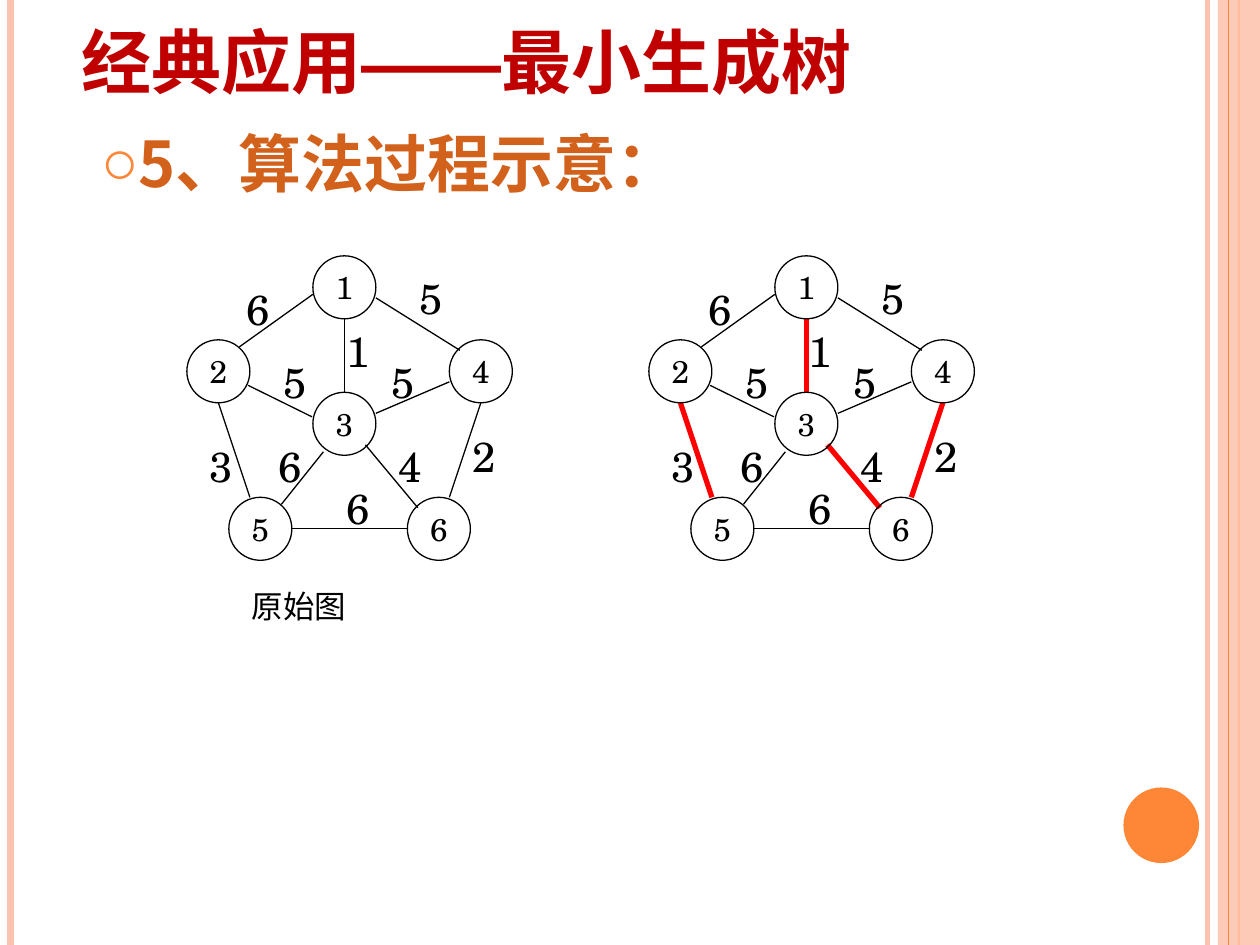
from lxml import etree
from pptx import Presentation
from pptx.dml.color import RGBColor
from pptx.enum.shapes import MSO_CONNECTOR, MSO_SHAPE
from pptx.enum.text import MSO_ANCHOR, MSO_AUTO_SIZE, PP_ALIGN
from pptx.oxml.ns import qn
from pptx.util import Pt

STRAIGHT = MSO_CONNECTOR.STRAIGHT
OVAL, RECTANGLE = MSO_SHAPE.OVAL, MSO_SHAPE.RECTANGLE
TOP, MIDDLE, BOTTOM = MSO_ANCHOR.TOP, MSO_ANCHOR.MIDDLE, MSO_ANCHOR.BOTTOM
LEFT, CENTER = PP_ALIGN.LEFT, PP_ALIGN.CENTER
NO_FIT = MSO_AUTO_SIZE.NONE

COLORS = {"black": "000000", "tree": "FF0000", "title": "C00000",
          "heading": "D2611C", "orange": "FE8637", "peach": "FEC3AE"}
SERIF, SANS, CHINESE = "TeX Gyre Schola", "Arial", "Noto Sans CJK SC"

TITLE = [("经典应用", SERIF, CHINESE), ("——", SANS, SANS), ("最小生成树", SERIF, CHINESE)]
HEADING = "5、算法过程示意："
CAPTION = "原始图"

NODE_SIZE = 36
NODES = {"1": (72, 0), "2": (0, 48), "3": (72, 78),
         "4": (150, 48), "5": (24, 138), "6": (126, 138)}
# name: start, end, weight, weight position
EDGES = {
    "1-2": ((30, 52), (72, 22), "6", (27, 12)),
    "3-5": ((54, 142), (78, 112), "6", (45, 102)),
    "3-4": ((108, 90), (150, 72), "5", (110, 54)),
    "2-3": ((35, 74), (71.5, 92), "5", (48, 54)),
    "1-4": ((108, 24), (156, 54), "5", (126, 6)),
    "4-6": ((150, 138), (168, 84), "2", (156, 96)),
    "2-5": ((36, 138), (18, 84), "3", (6, 102)),
    "5-6": ((60, 156), (126, 156), "6", (84, 126)),
    "1-3": ((90, 78), (90, 36), "1", (84, 36)),
    "3-6": ((102, 108), (132, 144), "4", (114, 102)),
}
GRAPHS = [((106.8, 146.2), set()),
          ((370.8, 146.2), {"1-3", "2-5", "3-6", "4-6"})]

SLIDE_WIDTH, SLIDE_HEIGHT = 720, 540
STRIPES = [(690, "peach", 3), (6, "peach", 4.5), (708, "orange", 1.5)]
BAND = (696, 0, 24, SLIDE_HEIGHT)
BAND_LINE = (702, "orange", 0.75)
DISC = (642, 450, 43.2, 43.2)


def rgb(name):
    return RGBColor.from_string(COLORS[name])


def place(shape, left, top, width, height):
    shape.left, shape.top = Pt(left), Pt(top)
    shape.width, shape.height = Pt(width), Pt(height)


def set_typeface(font, latin, east_asian):
    font.name = latin
    etree.SubElement(font._element, qn("a:ea"), typeface=east_asian)


def style_text(paragraph, size, color, bold=False):
    paragraph.font.size = Pt(size)
    paragraph.font.bold = bold
    paragraph.font.color.rgb = rgb(color)


def add_line(shapes, start, end, color, width):
    line = shapes.add_connector(STRAIGHT, *map(Pt, (*start, *end)))
    line.line.color.rgb = rgb(color)
    line.line.width = Pt(width)
    etree.SubElement(line._element.spPr, qn("a:effectLst"))


def add_stripe(shapes, x, color, width):
    add_line(shapes, (x, 0), (x, SLIDE_HEIGHT), color, width)


def add_filled(shapes, kind, box, color):
    shape = shapes.add_shape(kind, *map(Pt, box))
    shape.shadow.inherit = False
    shape.fill.solid()
    shape.fill.fore_color.rgb = rgb(color)
    shape.line.fill.background()
    return shape


def add_label(shapes, text, box, size):
    frame = shapes.add_textbox(*map(Pt, box)).text_frame
    frame.word_wrap = True
    paragraph = frame.paragraphs[0]
    paragraph.text = text
    style_text(paragraph, size, "black")
    set_typeface(paragraph.font, SERIF, CHINESE)


def add_node(shapes, name, left, top):
    node = shapes.add_shape(OVAL, *map(Pt, (left, top, NODE_SIZE, NODE_SIZE)))
    node.shadow.inherit = False
    node.fill.background()
    node.line.color.rgb = rgb("black")
    node.line.width = Pt(0.75)
    frame = node.text_frame
    frame.word_wrap = False
    frame.vertical_anchor = MIDDLE
    paragraph = frame.paragraphs[0]
    paragraph.text = name
    paragraph.alignment = CENTER
    style_text(paragraph, 18, "black")
    set_typeface(paragraph.font, SERIF, CHINESE)


def add_graph(shapes, origin, tree):
    def shift(point):
        return origin[0] + point[0], origin[1] + point[1]

    for name, (start, end, _, _) in EDGES.items():
        color, width = ("tree", 3) if name in tree else ("black", 0.75)
        add_line(shapes, shift(start), shift(end), color, width)
    for name, position in NODES.items():
        add_node(shapes, name, *shift(position))
    for _, _, weight, position in EDGES.values():
        add_label(shapes, weight, (*shift(position), 24, 36), 24)


def fill_title(title):
    place(title, 39.6, -28, 588, 90)
    frame = title.text_frame
    frame.auto_size = NO_FIT
    frame.vertical_anchor = BOTTOM
    paragraph = frame.paragraphs[0]
    paragraph.alignment = LEFT
    style_text(paragraph, 40, "title", True)
    for text, latin, east_asian in TITLE:
        run = paragraph.add_run()
        run.text = text
        set_typeface(run.font, latin, east_asian)


def fill_heading(body):
    place(body, 50.4, 67.7, 468, 60)
    frame = body.text_frame
    frame.auto_size = NO_FIT
    frame.vertical_anchor = TOP
    paragraph = frame.paragraphs[0]
    paragraph.text = HEADING
    paragraph.space_before = Pt(0)
    properties = paragraph._element.get_or_add_pPr()
    properties.set("marL", str(Pt(21.6)))
    properties.set("indent", str(Pt(-21.6)))
    bullet_color = etree.SubElement(properties, qn("a:buClr"))
    etree.SubElement(bullet_color, qn("a:srgbClr"), val=COLORS["orange"])
    etree.SubElement(properties, qn("a:buChar"), char="○")
    style_text(paragraph, 36, "heading", True)
    set_typeface(paragraph.font, CHINESE, CHINESE)


def main():
    presentation = Presentation()
    presentation.slide_width = Pt(SLIDE_WIDTH)
    presentation.slide_height = Pt(SLIDE_HEIGHT)
    slide = presentation.slides.add_slide(presentation.slide_layouts[1])
    shapes = slide.shapes
    fill_title(shapes.title)
    fill_heading(slide.placeholders[1])

    for stripe in STRIPES:
        add_stripe(shapes, *stripe)
    band = add_filled(shapes, RECTANGLE, BAND, "peach")
    band_color = band._element.spPr.find(".//" + qn("a:srgbClr"))
    etree.SubElement(band_color, qn("a:alpha"), val="87000")
    add_stripe(shapes, *BAND_LINE)
    add_filled(shapes, OVAL, DISC, "orange")

    for origin, tree in GRAPHS:
        add_graph(shapes, origin, tree)
    add_label(shapes, CAPTION, (136.8, 332, 126, 28.8), 18)
    presentation.save("out.pptx")


if __name__ == "__main__":
    main()
